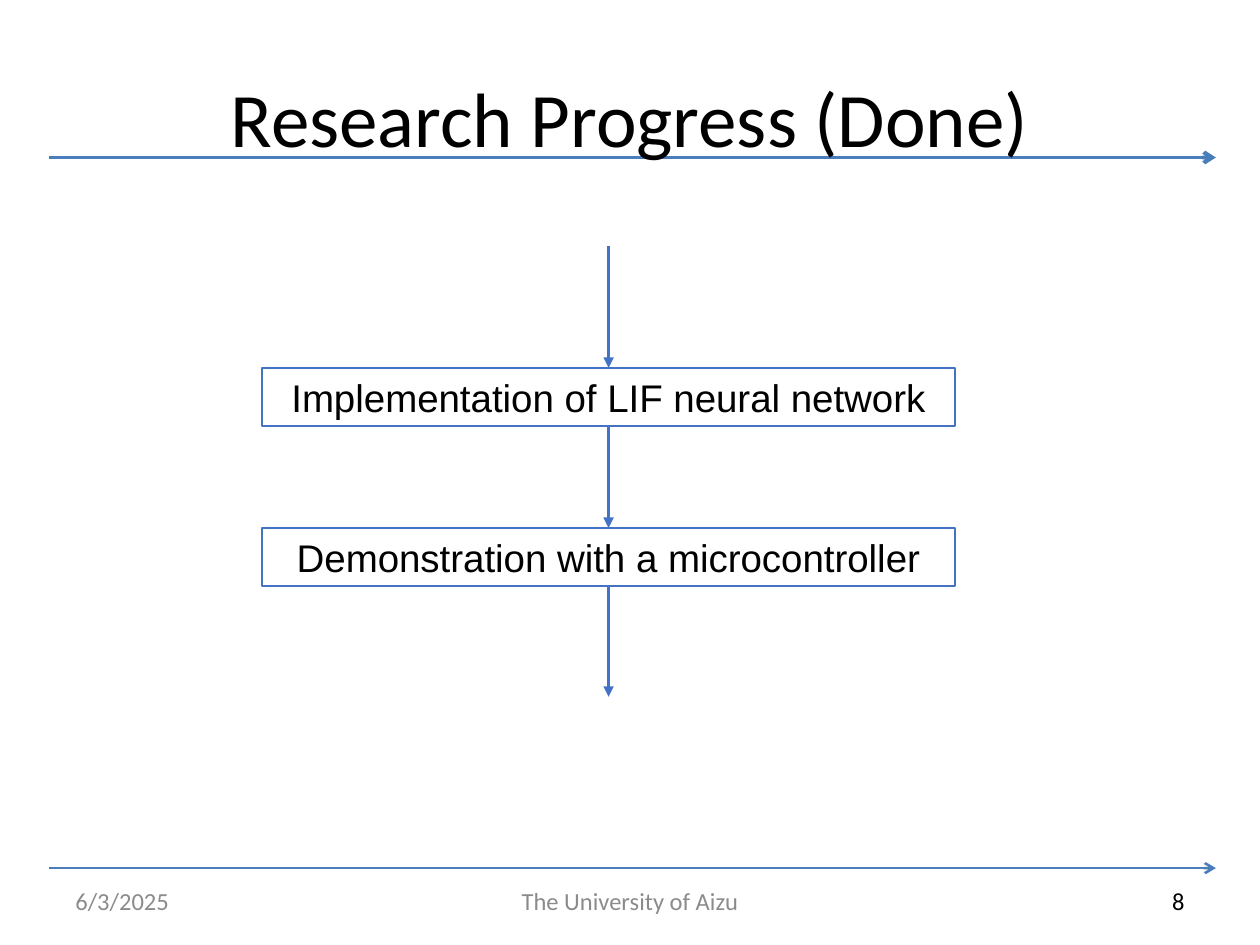
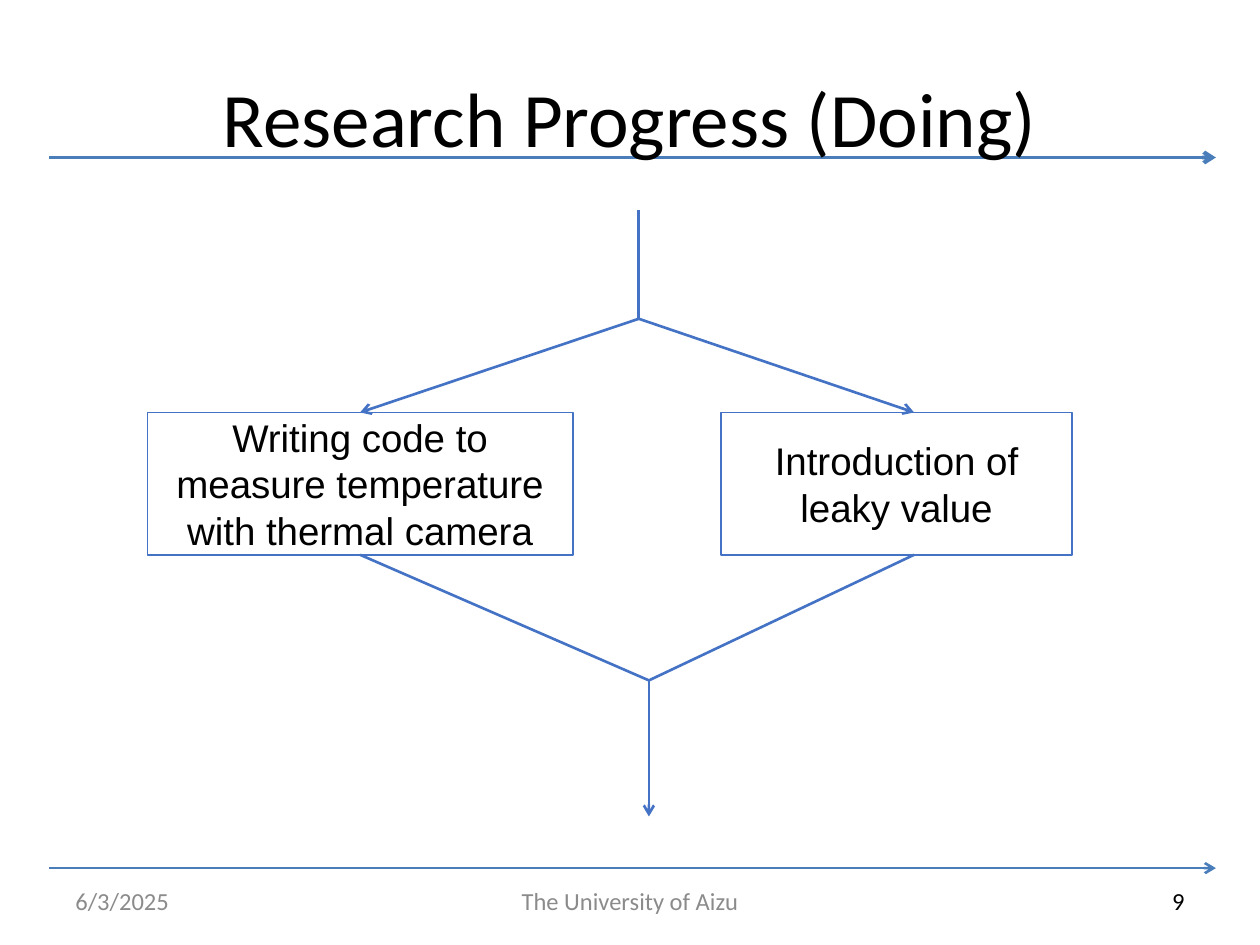
from collections import namedtuple

from lxml.etree import SubElement
from pptx import Presentation
from pptx.dml.color import RGBColor
from pptx.enum.shapes import MSO_CONNECTOR, MSO_SHAPE
from pptx.enum.text import MSO_ANCHOR, PP_ALIGN
from pptx.oxml.ns import qn
from pptx.util import Inches, Pt

BLACK = RGBColor(0x00, 0x00, 0x00)
WHITE = RGBColor(0xFF, 0xFF, 0xFF)
GRAY = RGBColor(0x8B, 0x8B, 0x8B)
RULE_BLUE = RGBColor(0x4A, 0x7E, 0xBB)
FLOW_BLUE = RGBColor(0x44, 0x72, 0xC4)
HEAD_FONT, BODY_FONT = "Calibri", "Arial"

Box = namedtuple("Box", "x y w h")
SLIDE = Box(0, 0, 10, 7.5)
MARGIN = 0.5
TITLE = Box(MARGIN, 0.3, SLIDE.w - 2 * MARGIN, 1.25)
FOOTER = Box(MARGIN, 6.95, SLIDE.w - 2 * MARGIN, 0.4)
RULE_LEFT, RULE_RIGHT = 0.39, 9.65
DONE_AREA = Box(2.08, 1.95, 5.5, 3.58)
DOING_AREA = Box(1.17, 1.67, 7.34, 4.81)


def emu(box):
    """Convert a box in inches to slide units."""
    return [Inches(v) for v in box]


def write(shape, text, font, size, color, align):
    """Put formatted, vertically centred text into a shape."""
    tf = shape.text_frame
    tf.word_wrap = True
    tf.vertical_anchor = MSO_ANCHOR.MIDDLE
    tf.text = text
    p = tf.paragraphs[0]
    p.alignment = align
    f = p.runs[0].font
    f.name, f.size = font, Pt(size)
    f.color.rgb = color


def add_line(s, start, end, head=None, color=FLOW_BLUE, width=1.5):
    """Draw a straight line, with an arrowhead at its end if one is named."""
    c = s.shapes.add_connector(MSO_CONNECTOR.STRAIGHT, *emu(start + end))
    c.line.color.rgb = color
    c.line.width = Pt(width)
    if head:
        SubElement(c.line._get_or_add_ln(), qn("a:tailEnd"), type=head)
    SubElement(c.element.spPr, qn("a:effectLst"))


def add_step(s, box, text):
    """Draw one outlined step of a flow."""
    sp = s.shapes.add_shape(MSO_SHAPE.RECTANGLE, *emu(box))
    sp.shadow.inherit = False
    sp.fill.solid()
    sp.fill.fore_color.rgb = WHITE
    sp.line.color.rgb = FLOW_BLUE
    sp.line.width = Pt(1)
    write(sp, text, BODY_FONT, 22, BLACK, PP_ALIGN.CENTER)


def add_footer(s, box, number):
    """Place date, university and slide number along the footer box."""
    side, middle = box.w * 0.26, box.w * 0.35
    parts = (
        (box.x, side, "6/3/2025", GRAY, PP_ALIGN.LEFT),
        (box.x + (box.w - middle) / 2, middle, "The University of Aizu", GRAY, PP_ALIGN.CENTER),
        (box.x + box.w - side, side, str(number), BLACK, PP_ALIGN.RIGHT),
    )
    for x, w, text, color, align in parts:
        tb = s.shapes.add_textbox(*emu((x, box.y, w, box.h)))
        write(tb, text, HEAD_FONT, 14, color, align)


def add_page(prs, title, number):
    """Add a slide with the shared rules, title and footer."""
    s = prs.slides.add_slide(prs.slide_layouts[5])
    for y, width in ((6.89, 1.5), (1.25, 2.25)):
        add_line(s, (RULE_LEFT, y), (RULE_RIGHT, y), "arrow", RULE_BLUE, width)
    sp = s.shapes.title
    sp.element.getparent().append(sp.element)
    sp.left, sp.top, sp.width, sp.height = emu(TITLE)
    write(sp, title, HEAD_FONT, 44, BLACK, PP_ALIGN.CENTER)
    add_footer(s, FOOTER, number)
    return s


def add_sequence(s, box, steps):
    """Stack steps in the box, with arrows before, between and after them."""
    step_h, first, pitch = 0.46, 0.97, 1.27
    mid = box.x + box.w / 2
    start = box.y
    for i, text in enumerate(steps):
        top = box.y + first + i * pitch
        add_step(s, Box(box.x, top, box.w, step_h), text)
        add_line(s, (mid, start), (mid, top), "triangle")
        start = top + step_h
    add_line(s, (mid, start), (mid, box.y + box.h), "triangle")


def add_parallel(s, box, left_text, right_text):
    """Split the flow into two steps side by side and join it again."""
    left_w, right_w, step_h = box.w * 0.46, box.w * 0.38, 1.13
    top = box.y + box.h / 3
    bottom = top + step_h
    right_x = box.x + box.w - right_w
    add_step(s, Box(box.x, top, left_w, step_h), left_text)
    add_step(s, Box(right_x, top, right_w, step_h), right_text)
    fork = (box.x + 3.9, box.y + 0.86)
    join = (box.x + 3.98, box.y + 3.73)
    add_line(s, (fork[0], box.y), fork)
    for x in (box.x + left_w / 2, right_x + right_w * 0.55):
        add_line(s, fork, (x, top), "arrow")
        add_line(s, (x, bottom), join)
    add_line(s, join, (join[0], box.y + box.h), "arrow")


def main():
    """Build the two progress slides."""
    prs = Presentation()
    prs.slide_width, prs.slide_height = Inches(SLIDE.w), Inches(SLIDE.h)
    s = add_page(prs, "Research Progress (Done)", 8)
    add_sequence(s, DONE_AREA, (
        "Implementation of LIF neural network",
        "Demonstration with a microcontroller",
    ))
    s = add_page(prs, "Research Progress (Doing)", 9)
    add_parallel(
        s, DOING_AREA,
        "Writing code to measure temperature with thermal camera",
        "Introduction of leaky value",
    )
    prs.save("out.pptx")


if __name__ == "__main__":
    main()
